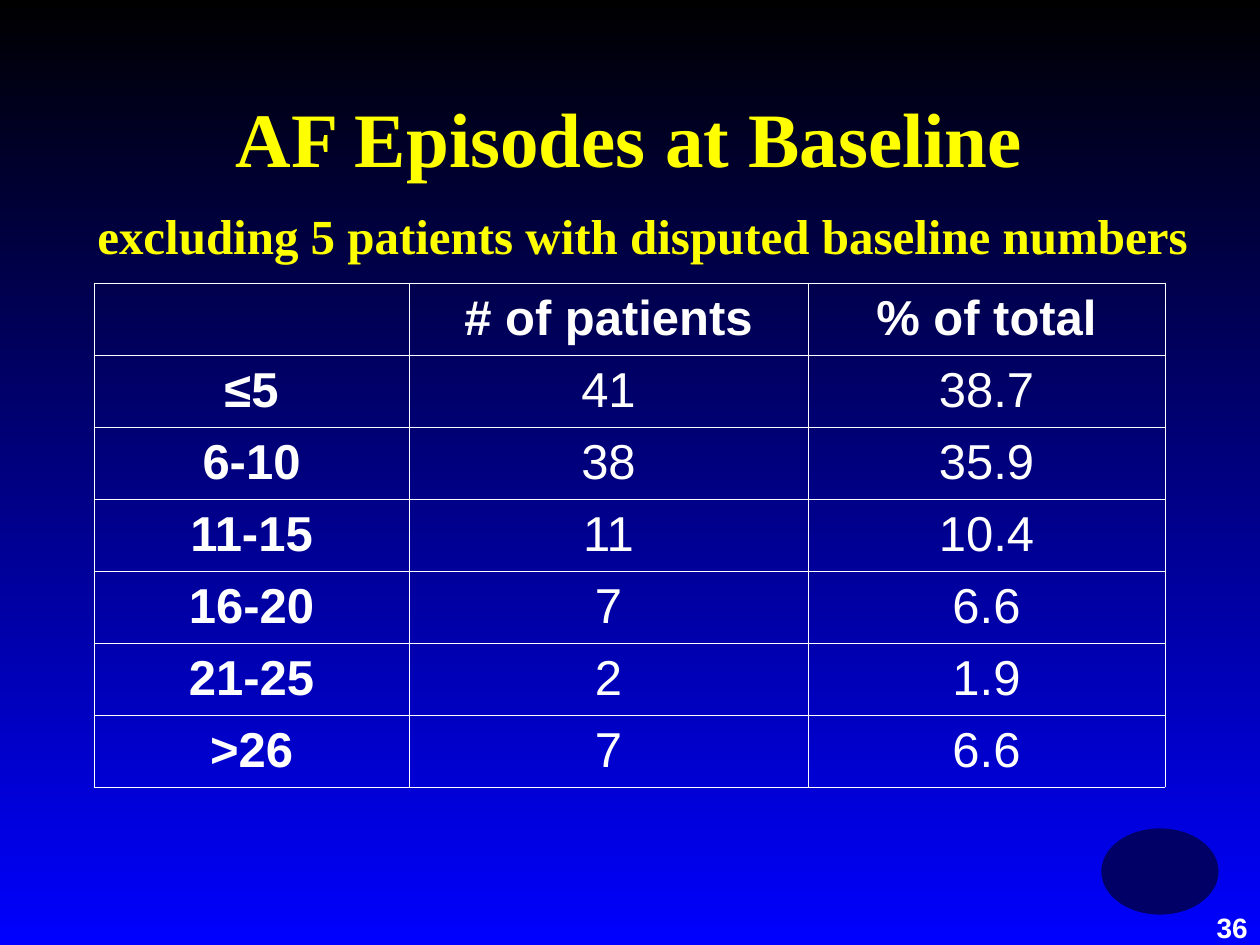
import pptx
import pptx.dml.color
import pptx.enum.shapes
import pptx.enum.text
import pptx.oxml
import pptx.oxml.ns
import pptx.util

EMU_PER_PX = 914400 / 126
COLORS = {
    "top": "000000",
    "bottom": "0000FF",
    "oval": "000066",
    "heading": "FFFF00",
    "text": "FFFFFF",
}
SERIF, SANS = "Times New Roman", "Arial"
ALIGN = pptx.enum.text.PP_ALIGN
ANCHOR = pptx.enum.text.MSO_ANCHOR

COLUMN_WIDTHS = [315, 399, 357]
ROW_HEIGHT = 72
EPISODES = [
    ("", "# of patients", "% of total"),
    ("≤5", "41", "38.7"),
    ("6-10", "38", "35.9"),
    ("11-15", "11", "10.4"),
    ("16-20", "7", "6.6"),
    ("21-25", "2", "1.9"),
    (">26", "7", "6.6"),
]


def px(*lengths):
    return [pptx.util.Emu(round(length * EMU_PER_PX)) for length in lengths]


def rgb(name):
    return pptx.dml.color.RGBColor.from_string(COLORS[name])


def add_span(para, text, size, font, color, bold=True):
    span = para.add_run()
    span.text = text
    span.font.size = pptx.util.Pt(size)
    span.font.name = font
    span.font.bold = bold
    span.font.color.rgb = rgb(color)


def paint_background(page):
    fill = page.background.fill
    fill.gradient()
    fill.gradient_angle = 270
    for stop, name, position in zip(fill.gradient_stops, ("top", "bottom"), (0, 1)):
        stop.color.rgb = rgb(name)
        stop.position = position


def add_oval(page, place):
    oval = page.shapes.add_shape(pptx.enum.shapes.MSO_SHAPE.OVAL, *px(*place))
    oval.shadow.inherit = False
    oval.fill.solid()
    oval.fill.fore_color.rgb = rgb("oval")
    oval.line.color.rgb = rgb("oval")
    oval.line.width = pptx.util.Pt(0.75)


def add_text(page, place, text, size, font, color, align, anchor=ANCHOR.TOP, wrap=True):
    frame = page.shapes.add_textbox(*px(*place)).text_frame
    frame.word_wrap = wrap
    frame.vertical_anchor = anchor
    para = frame.paragraphs[0]
    para.alignment = align
    add_span(para, text, size, font, color)


def outline_cell(cell):
    """Draw a thin line on all four sides of a cell without fill."""
    properties = cell._tc.get_or_add_tcPr()
    for side in ("lnL", "lnR", "lnT", "lnB"):
        properties.append(pptx.oxml.parse_xml(
            f'<a:{side} {pptx.oxml.ns.nsdecls("a")} w="5715"><a:solidFill>'
            f'<a:srgbClr val="{COLORS["text"]}"/></a:solidFill></a:{side}>'))
    cell.fill.background()


def add_episode_table(page, left, top):
    place = (left, top, sum(COLUMN_WIDTHS), ROW_HEIGHT * len(EPISODES))
    table = page.shapes.add_table(len(EPISODES), len(COLUMN_WIDTHS), *px(*place)).table
    table.first_row = table.horz_banding = False
    for column, width in zip(table.columns, px(*COLUMN_WIDTHS)):
        column.width = width
    for i, values in enumerate(EPISODES):
        table.rows[i].height = px(ROW_HEIGHT)[0]
        for j, value in enumerate(values):
            cell = table.cell(i, j)
            outline_cell(cell)
            cell.vertical_anchor = ANCHOR.MIDDLE
            para = cell.text_frame.paragraphs[0]
            para.alignment = ALIGN.CENTER
            if value:
                add_span(para, value, 28, SANS, "text", bold=i == 0 or j == 0)


def main():
    deck = pptx.Presentation()
    deck.slide_width, deck.slide_height = px(1260, 945)
    page = deck.slides.add_slide(deck.slide_layouts[6])
    paint_background(page)
    add_oval(page, (1102, 829, 116, 85))
    add_text(page, (94, 42, 1071, 189), "AF Episodes at Baseline",
             44, SERIF, "heading", ALIGN.CENTER, ANCHOR.MIDDLE)
    add_episode_table(page, 94, 283)
    add_text(page, (85, 199, 1115, 72), "excluding 5 patients with disputed baseline numbers",
             28, SERIF, "heading", ALIGN.LEFT, wrap=False)
    add_text(page, (1176, 904, 84, 63), "36", 16, SANS, "text", ALIGN.RIGHT)
    deck.save("out.pptx")


if __name__ == "__main__":
    main()
